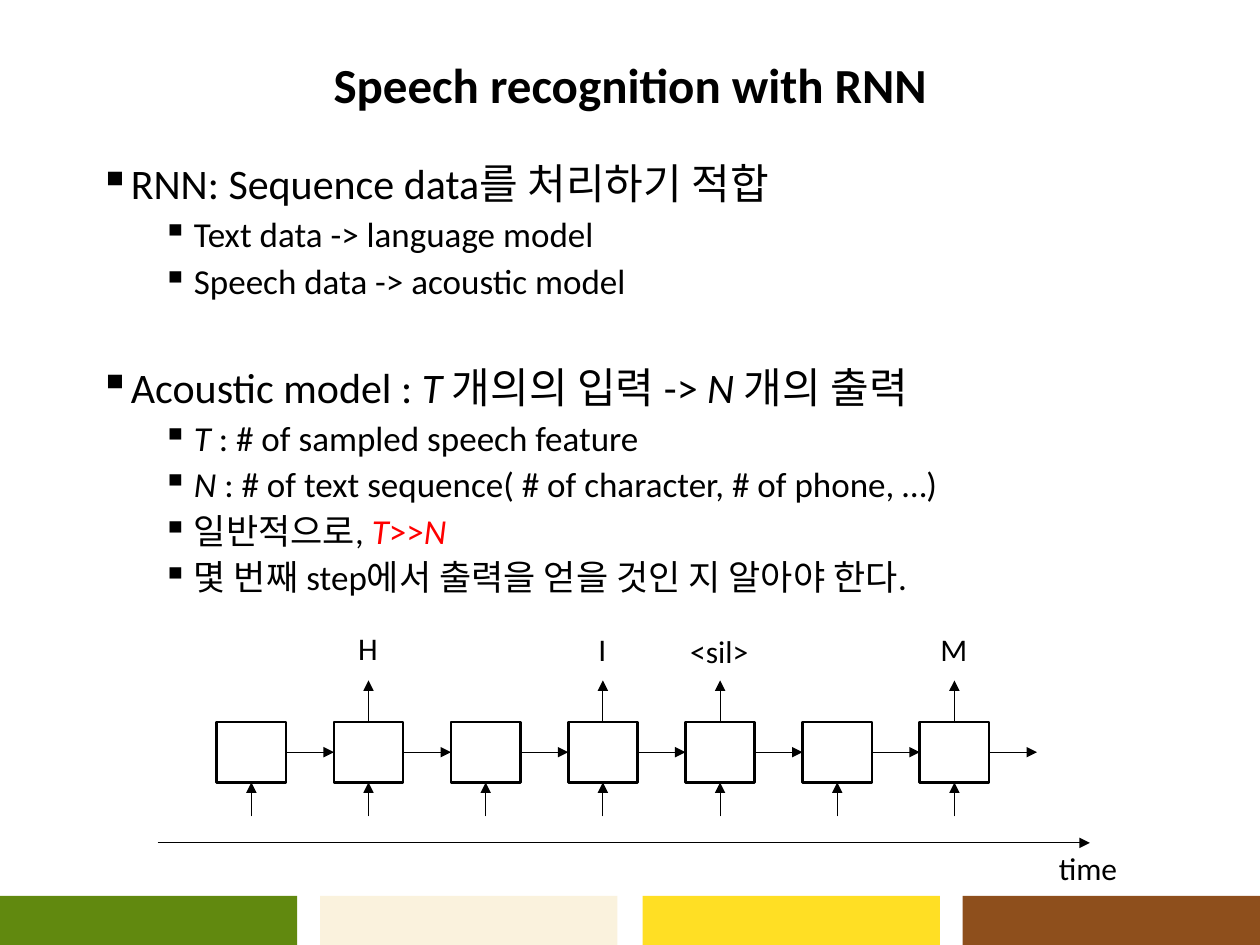
import pptx
import pptx.util
import pptx.dml.color
import pptx.enum.shapes
import pptx.enum.text
import pptx.oxml
import pptx.oxml.ns
from dataclasses import dataclass
from typing import Optional

Inches = pptx.util.Inches
Pt = pptx.util.Pt
Align = pptx.enum.text.PP_ALIGN
FONT = "Calibri"
HUES = {
    "ink": "000000", "paper": "FFFFFF", "alert": "FF0000",
    "green": "61890F", "cream": "FAF2DD", "yellow": "FFDF24", "brown": "8E4F1C",
}


@dataclass
class Run:
    text: str
    slant: bool = False
    hue: str = "ink"
    bold: bool = False


@dataclass
class Point:
    runs: list[Run]
    level: int = 0
    before: float = 5


@dataclass
class Label:
    text: str
    mid: float
    top: float
    width: float


BANDS = [(0, "green"), (2.54, "cream"), (5.1, "yellow"), (7.64, "brown")]

POINTS = [
    Point([Run("RNN: Sequence data를 처리하기 적합")], before=0),
    Point([Run("Text data -> language model")], 1),
    Point([Run("Speech data -> acoustic model")], 1),
    Point([Run("Acoustic model : "), Run("T ", True), Run("개의의 입력 -> "),
           Run("N", True), Run(" 개의 출력")], before=37),
    Point([Run("T", True), Run(" : # of sampled speech feature")], 1),
    Point([Run("N", True),
           Run(" : # of text sequence( # of character, # of phone, …)")], 1),
    Point([Run("일반적으로, "), Run("T", True, "alert"),
           Run(">>", False, "alert"), Run("N", True, "alert")], 1),
    Point([Run("몇 번째 step에서 출력을 얻을 것인 지 알아야 한다.")], 1),
]

# Recurrent cells, evenly spaced along the time axis
COUNT, LEFT, PITCH = 7, 1.72, 0.93
WIDE, TALL, TOP = 0.55, 0.48, 5.73
OUTPUTS = {1: ("H", 4.94, 0.36), 3: ("I", 4.95, 0.27),
           4: ("<sil>", 4.97, 0.67), 6: ("M", 4.95, 0.42)}


def color(hue: str) -> pptx.dml.color.RGBColor:
    return pptx.dml.color.RGBColor.from_string(HUES[hue])


def add_rect(slide, left: float, top: float, width: float, height: float,
             fill: str, line: Optional[str] = None) -> None:
    rect = slide.shapes.add_shape(
        pptx.enum.shapes.MSO_SHAPE.RECTANGLE,
        Inches(left), Inches(top), Inches(width), Inches(height))
    rect.shadow.inherit = False
    rect.fill.solid()
    rect.fill.fore_color.rgb = color(fill)
    if line:
        rect.line.color.rgb = color(line)
        rect.line.width = Pt(1.5)
    else:
        rect.line.fill.background()


def add_arrow(slide, x1: float, y1: float, x2: float, y2: float) -> None:
    arrow = slide.shapes.add_connector(
        pptx.enum.shapes.MSO_CONNECTOR.STRAIGHT,
        Inches(x1), Inches(y1), Inches(x2), Inches(y2))
    arrow.line.color.rgb = color("ink")
    arrow.line.width = Pt(0.5)
    tip = pptx.oxml.parse_xml(
        f'<a:tailEnd {pptx.oxml.ns.nsdecls("a")} type="triangle"/>')
    arrow.line._get_or_add_ln().append(tip)
    arrow._element.spPr.append(pptx.oxml.parse_xml(
        f'<a:effectLst {pptx.oxml.ns.nsdecls("a")}/>'))


def add_box(slide, left: float, top: float, width: float, height: float,
            wrap: bool = True):
    box = slide.shapes.add_textbox(
        Inches(left), Inches(top), Inches(width), Inches(height))
    box.text_frame.word_wrap = wrap
    return box.text_frame


def add_run(para, run: Run, size: float) -> None:
    part = para.add_run()
    part.text = run.text
    part.font.name = FONT
    part.font.size = Pt(size)
    part.font.italic = run.slant
    part.font.bold = run.bold
    part.font.color.rgb = color(run.hue)


def add_title(slide, text: str) -> None:
    frame = add_box(slide, 0.69, 0.4, 8.62, 0.59)
    frame.vertical_anchor = pptx.enum.text.MSO_ANCHOR.MIDDLE
    para = frame.paragraphs[0]
    para.alignment = Align.CENTER
    para.line_spacing = 0.9
    add_run(para, Run(text, bold=True), 28)


def add_points(slide, points: list[Point]) -> None:
    frame = add_box(slide, 0.69, 1.25, 8.62, 3.77)
    for i, point in enumerate(points):
        para = frame.paragraphs[0] if i == 0 else frame.add_paragraph()
        props = para._p.get_or_add_pPr()
        props.set("marL", str(Inches(0.25 + 0.5 * point.level)))
        props.set("indent", str(Inches(-0.25)))
        props.append(pptx.oxml.parse_xml(
            f'<a:buChar {pptx.oxml.ns.nsdecls("a")} char="▪"/>'))
        para.level = point.level
        para.line_spacing = 0.9
        para.space_before = Pt(point.before)
        for run in point.runs:
            add_run(para, run, 20 if point.level else 24)


def add_label(slide, label: Label) -> None:
    frame = add_box(slide, label.mid - label.width / 2, label.top,
                    label.width, 0.4, wrap=False)
    frame.auto_size = pptx.enum.text.MSO_AUTO_SIZE.SHAPE_TO_FIT_TEXT
    add_run(frame.paragraphs[0], Run(label.text), 18)


def add_cell(slide, i: int) -> None:
    """Draw step i with its input, its link onward and any output."""
    left = LEFT + i * PITCH
    mid = left + WIDE / 2
    base = TOP + TALL
    add_rect(slide, left, TOP, WIDE, TALL, "paper", "ink")
    add_arrow(slide, left + WIDE, TOP + TALL / 2, left + PITCH, TOP + TALL / 2)
    add_arrow(slide, mid, base + 0.27, mid, base)
    if i in OUTPUTS:
        text, top, width = OUTPUTS[i]
        add_arrow(slide, mid, TOP, mid, TOP - 0.33)
        add_label(slide, Label(text, mid, top, width))


def main() -> None:
    deck = pptx.Presentation()
    deck.slide_width, deck.slide_height = Inches(10), Inches(7.5)
    slide = deck.slides.add_slide(deck.slide_layouts[6])
    for left, hue in BANDS:
        add_rect(slide, left, 7.11, 2.36, 0.39, hue)
    add_title(slide, "Speech recognition with RNN")
    add_points(slide, POINTS)
    add_arrow(slide, 1.25, 6.69, 8.65, 6.69)
    for i in range(COUNT):
        add_cell(slide, i)
    add_label(slide, Label("time", 8.64, 6.69, 0.67))
    deck.save("out.pptx")


if __name__ == "__main__":
    main()
